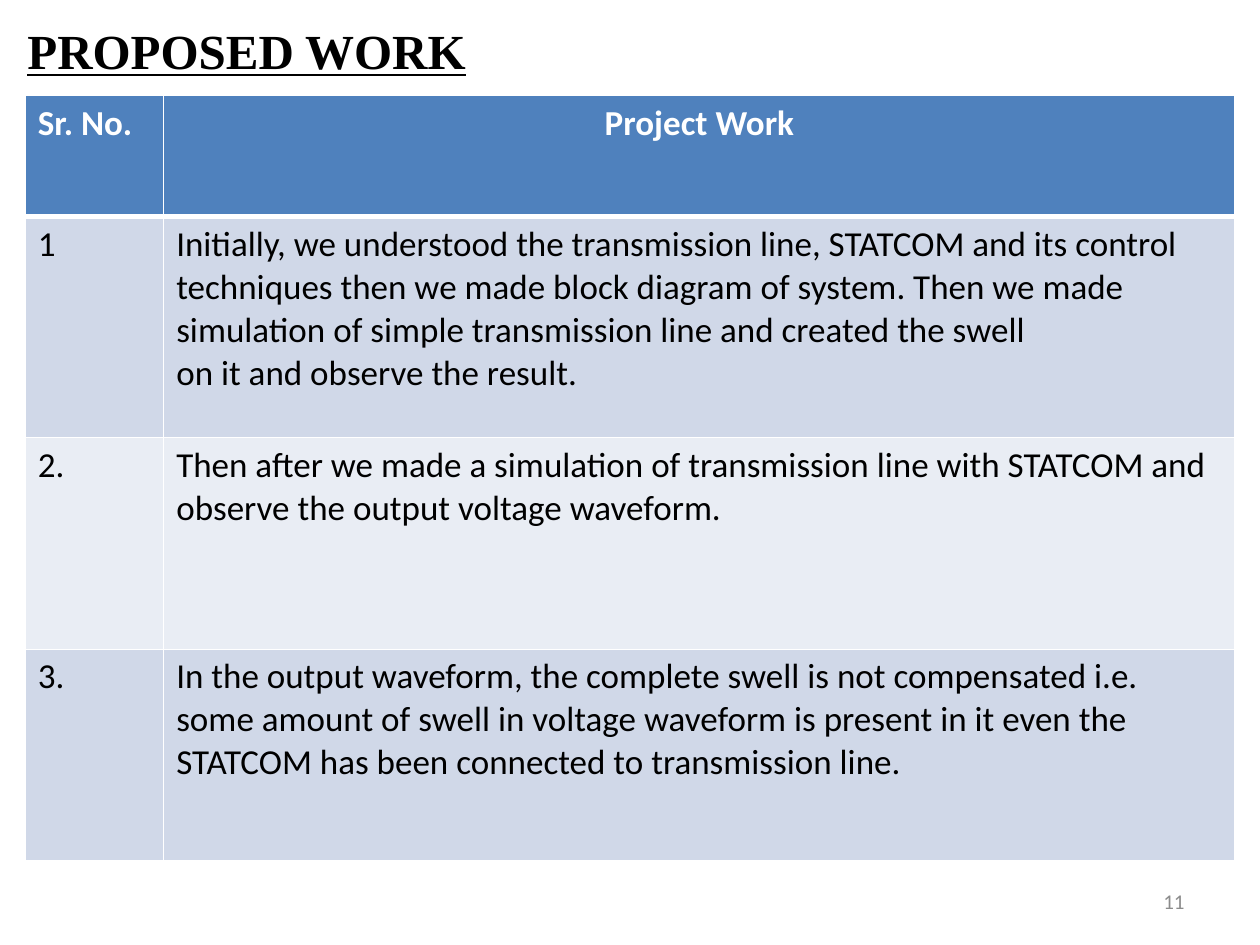
from lxml import etree
from pptx import Presentation
from pptx.dml.color import RGBColor
from pptx.enum.text import MSO_ANCHOR, PP_ALIGN
from pptx.oxml.ns import qn
from pptx.util import Cm, Pt

LEFT, CENTER, RIGHT = PP_ALIGN.LEFT, PP_ALIGN.CENTER, PP_ALIGN.RIGHT
MIDDLE = MSO_ANCHOR.MIDDLE
TITLE_ONLY = 5

COLORS = {
    "white": "FFFFFF",
    "black": "000000",
    "header": "4F81BD",
    "odd_row": "D0D8E8",
    "even_row": "E9EDF4",
    "page_number": "8C8C8C",
}
COLUMN_WIDTHS = [2.79, 21.6]
ROW_HEIGHTS = [2.44, 4.45, 4.27, 4.27]
ROWS = [
    ("Sr. No.", "Project Work"),
    ("1", "Initially, we understood the transmission line, STATCOM and its control "
          "techniques then we made block diagram of system. Then we made simulation of "
          "simple transmission line and created the swell\n"
          "on it and observe the result."),
    ("2.", "Then after we made a simulation of transmission line with STATCOM and "
           "observe the output voltage waveform."),
    ("3.", "In the output waveform, the complete swell is not compensated i.e. some "
           "amount of swell in voltage waveform is present in it even the STATCOM has "
           "been connected to transmission line."),
]


def set_text(text_frame, text, size, color, font="Calibri", bold=False,
             underline=False, align=LEFT):
    text_frame.text = text
    text_frame.word_wrap = True
    for paragraph in text_frame.paragraphs:
        paragraph.alignment = align
        for run in paragraph.runs:
            run.font.name = font
            run.font.size = Pt(size)
            run.font.bold = bold
            run.font.underline = underline
            run.font.color.rgb = RGBColor.from_string(COLORS[color])


def set_border(cell, side, width):
    line = etree.SubElement(cell._tc.get_or_add_tcPr(), qn(f"a:ln{side}"),
                            w=str(Pt(width)))
    fill = etree.SubElement(line, qn("a:solidFill"))
    etree.SubElement(fill, qn("a:srgbClr"), val=COLORS["white"])


def add_title(slide, text):
    title = slide.shapes.title
    title.left, title.top, title.width, title.height = Cm(0.3), Cm(-0.28), Cm(22.86), Cm(2.57)
    set_text(title.text_frame, text, 28, "black", "Times New Roman",
             bold=True, underline=True)
    title.text_frame.vertical_anchor = MIDDLE


def add_work_table(slide):
    table = slide.shapes.add_table(
        len(ROWS), len(COLUMN_WIDTHS), Cm(0.51), Cm(1.93),
        Cm(sum(COLUMN_WIDTHS)), Cm(sum(ROW_HEIGHTS))).table
    for column, width in zip(table.columns, COLUMN_WIDTHS):
        column.width = Cm(width)
    for row, height in zip(table.rows, ROW_HEIGHTS):
        row.height = Cm(height)

    for row_index, texts in enumerate(ROWS):
        is_header = row_index == 0
        fill = "header" if is_header else ("even_row", "odd_row")[row_index % 2]
        # A thick rule separates the header from the body
        borders = {"L": 1, "R": 1, "T": 3 if row_index == 1 else 1,
                   "B": 3 if is_header else 1}
        for column_index, text in enumerate(texts):
            cell = table.cell(row_index, column_index)
            set_text(cell.text_frame, text, 20, "white" if is_header else "black",
                     bold=is_header,
                     align=CENTER if is_header and column_index == 1 else LEFT)
            for side, width in borders.items():
                set_border(cell, side, width)
            cell.fill.solid()
            cell.fill.fore_color.rgb = RGBColor.from_string(COLORS[fill])


def add_page_number(slide, text):
    box = slide.shapes.add_textbox(Cm(18.21), Cm(17.65), Cm(5.92), Cm(1.02))
    set_text(box.text_frame, text, 12, "page_number", align=RIGHT)
    box.text_frame.vertical_anchor = MIDDLE


def main():
    presentation = Presentation()
    presentation.slide_width, presentation.slide_height = Cm(25.4), Cm(19.05)
    slide = presentation.slides.add_slide(presentation.slide_layouts[TITLE_ONLY])
    add_title(slide, "PROPOSED WORK")
    add_page_number(slide, "11")
    add_work_table(slide)
    presentation.save("out.pptx")


if __name__ == "__main__":
    main()
